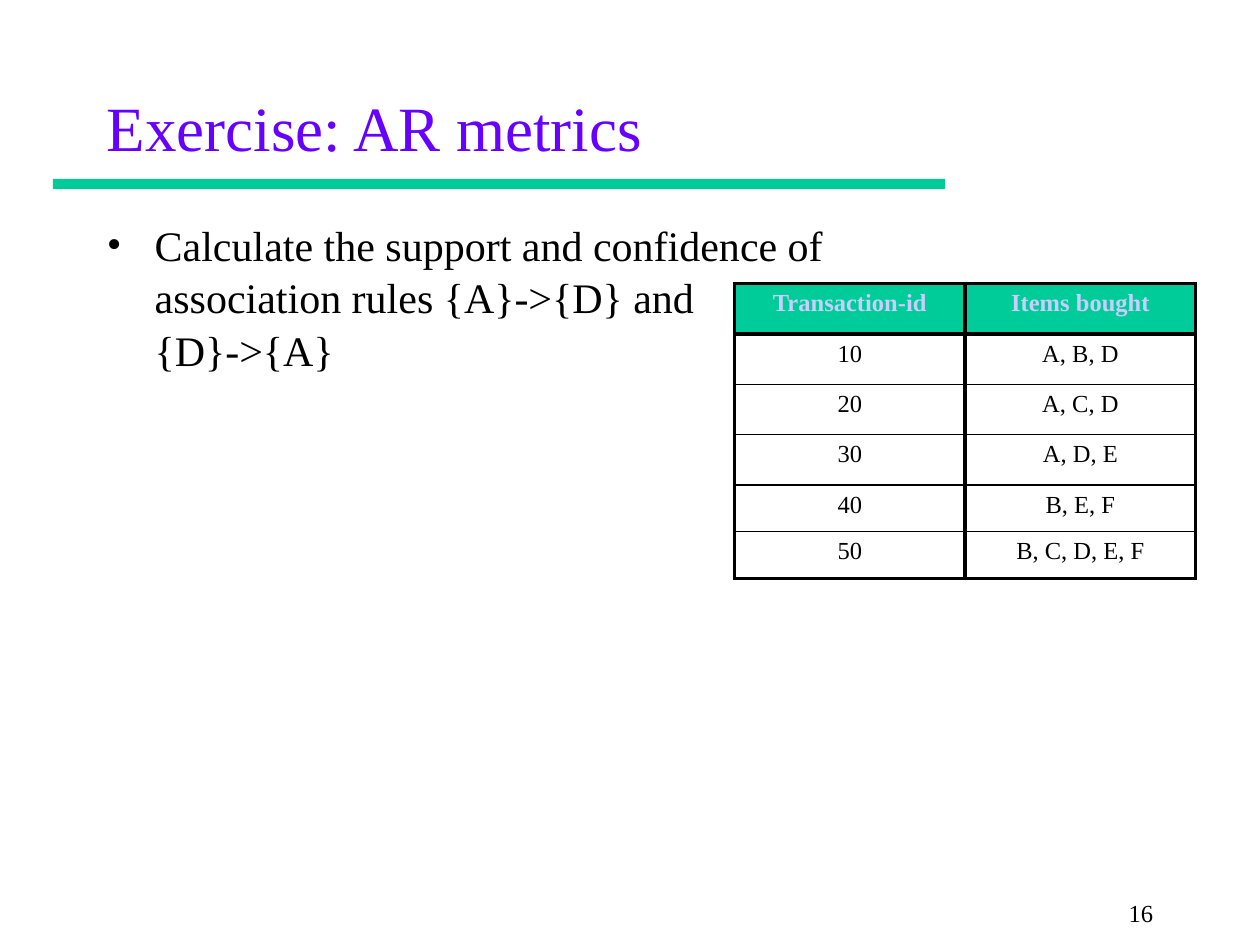
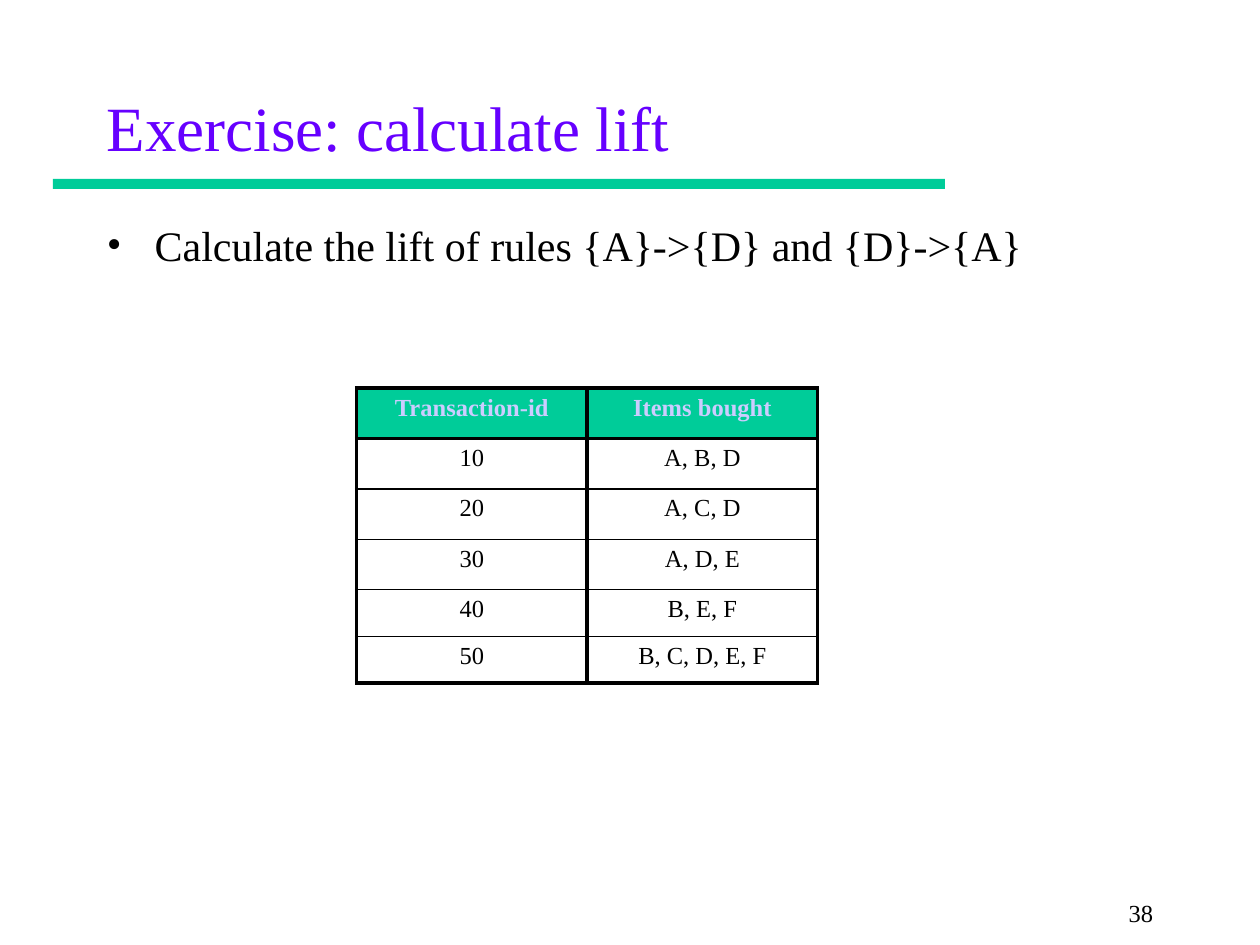
from lxml import etree
from pptx import Presentation
from pptx import util as u
from pptx.dml import color
from pptx.enum import shapes, text
from pptx.oxml import ns

# Theme: colours, font and type sizes
theme = {
    "font": "Times New Roman",
    "title": {"size": 36, "ink": "6600FF"},
    "body": {"size": 24, "ink": "000000"},
    "small": {"size": 14, "ink": "000000"},
    "head": {"size": 14, "ink": "CCCCFF", "bold": True},
    "band": "00CC99",
    "rule": "000000",
    "thick": 2.25,
    "thin": 1,
}
left, mid, right = (getattr(text.PP_ALIGN, n) for n in ("LEFT", "CENTER", "RIGHT"))

# Transactions shown on both slides
rows = [
    ("Transaction-id", "Items bought"),
    ("10", "A, B, D"),
    ("20", "A, C, D"),
    ("30", "A, D, E"),
    ("40", "B, E, F"),
    ("50", "B, C, D, E, F"),
]
highs = [0.4] * 4 + [0.37] * 2
wide = 1.83

# Per slide: title, task, page number, table corner
pages = [
    ("Exercise: AR metrics",
     "Calculate the support and confidence of\vassociation rules {A}->{D} and\v{D}->{A}",
     "16", (5.83, 2.25)),
    ("Exercise: calculate lift",
     "Calculate the lift of rules {A}->{D} and {D}->{A}",
     "38", (2.83, 3.08)),
]


def write(frame, words, style, **form):
    """Fill a text frame with one styled paragraph and return it."""
    look = theme[style]
    par = frame.paragraphs[0]
    par.text = words
    for key, val in form.items():
        setattr(par, key, val)
    font = {"name": theme["font"], "size": u.Pt(look["size"]),
            "bold": look.get("bold", False)}
    for run in par.runs:
        for key, val in font.items():
            setattr(run.font, key, val)
        run.font.color.rgb = color.RGBColor.from_string(look["ink"])
    return par


def edge(cell, side, width):
    """Draw one border of a table cell."""
    line = etree.SubElement(cell._tc.get_or_add_tcPr(), ns.qn("a:ln" + side),
                            w=str(u.Pt(width)))
    fill = etree.SubElement(line, ns.qn("a:solidFill"))
    etree.SubElement(fill, ns.qn("a:srgbClr"), val=theme["rule"])


deck = Presentation()
deck.slide_width, deck.slide_height = u.Inches(10), u.Inches(7.5)
green = color.RGBColor.from_string(theme["band"])

for title, task, num, spot in pages:
    slide = deck.slides.add_slide(deck.slide_layouts[6])

    # Band under the title
    band = slide.shapes.add_shape(shapes.MSO_SHAPE.RECTANGLE,
                                  *map(u.Inches, (0.42, 1.42, 7.08, 0.08)))
    band.shadow.inherit = False
    band.fill.solid()
    band.fill.fore_color.rgb = green
    band.line.fill.background()

    # Title, task and page number
    parts = [
        (title, "title", (0.75, 0.67, 8.42, 0.67), text.MSO_ANCHOR.MIDDLE,
         {"alignment": left}),
        (task, "body", (0.75, 1.67, 8.67, 5.33), text.MSO_ANCHOR.TOP,
         {"alignment": left, "space_before": u.Pt(4.8), "line_spacing": 1.05}),
        (num, "small", (7.25, 7.08, 2, 0.25), text.MSO_ANCHOR.TOP,
         {"alignment": right}),
    ]
    for words, style, place, hold, form in parts:
        frame = slide.shapes.add_textbox(*map(u.Inches, place)).text_frame
        frame.word_wrap = True
        frame.vertical_anchor = hold
        par = write(frame, words, style, **form)
        if style == "body":
            props = par._p.get_or_add_pPr()
            props.set("marL", str(u.Inches(0.38)))
            props.set("indent", str(-u.Inches(0.38)))
            etree.SubElement(props, ns.qn("a:buFont"), typeface=theme["font"])
            etree.SubElement(props, ns.qn("a:buChar"), char="•")

    # Transaction table
    size = (2 * wide, sum(highs))
    table = slide.shapes.add_table(len(rows), 2, *map(u.Inches, spot + size)).table
    table.first_row = table.horz_banding = False
    for col in table.columns:
        col.width = u.Inches(wide)
    for r, (row, high) in enumerate(zip(rows, highs)):
        table.rows[r].height = u.Inches(high)
        top = theme["thick" if r < 2 else "thin"]
        base = theme["thick" if r in (0, len(rows) - 1) else "thin"]
        for c, words in enumerate(row):
            cell = table.cell(r, c)
            write(cell.text_frame, words, "small" if r else "head",
                  alignment=mid, space_before=u.Pt(2.8))
            for side, width in zip("LRTB", (theme["thick"], theme["thick"], top, base)):
                edge(cell, side, width)
            if r:
                cell.fill.background()
            else:
                cell.fill.solid()
                cell.fill.fore_color.rgb = green

deck.save("out.pptx")
